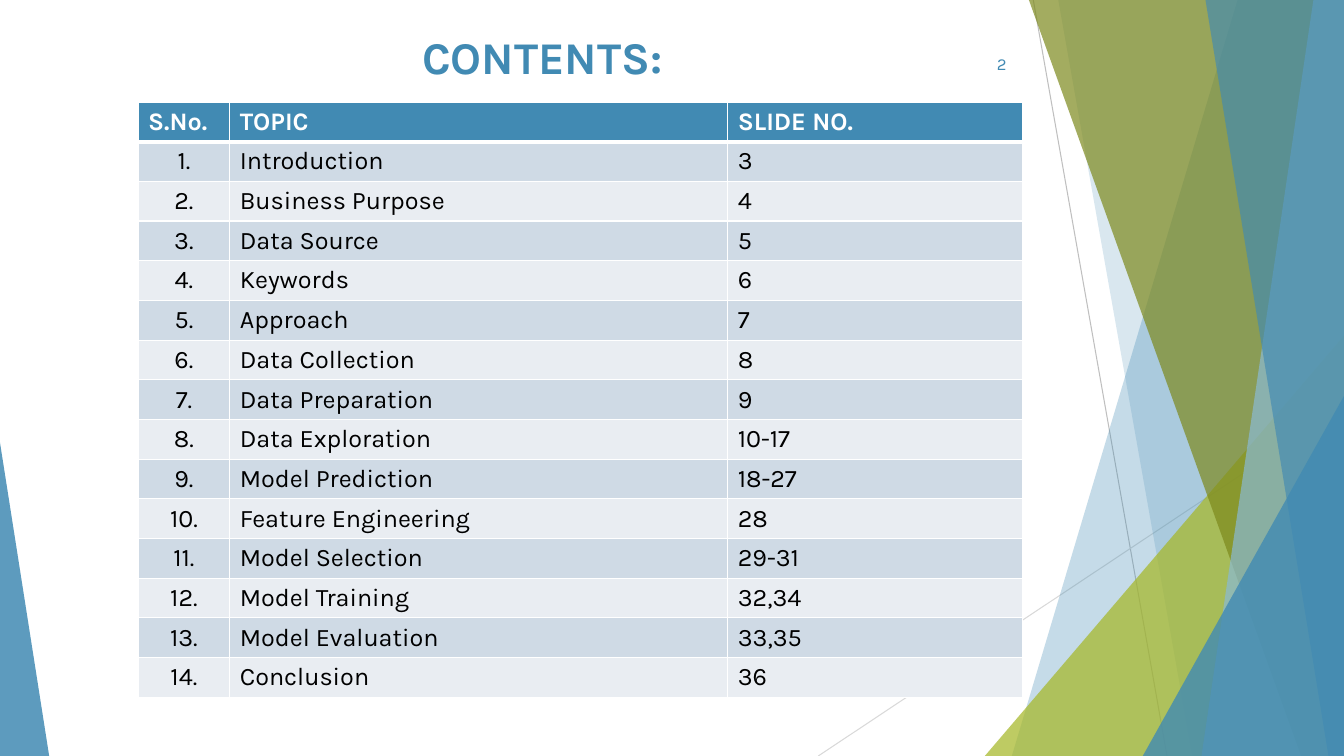
from pptx import Presentation
from pptx import util as u
from pptx.dml.color import RGBColor
from pptx.enum import shapes, text
from pptx.oxml import ns
from lxml import etree

Cm, Pt = u.Cm, u.Pt
FONT = "Karla"
WIDE, HIGH = 33.87, 19.05
COLORS = {
    "blue": "418AB3", "sky": "8ABAD4", "lime": "A6B727", "olive": "7D891D",
    "odd": "CFDAE5", "even": "E9EDF2", "white": "FFFFFF", "black": "000000",
    "gray": "BFBFBF", "pale": "D9D9D9",
}
HEAD = ("S.No.", "TOPIC", "SLIDE NO.")
TOPICS = [
    ("Introduction", "3"), ("Business Purpose", "4"), ("Data Source", "5"),
    ("Keywords", "6"), ("Approach", "7"), ("Data Collection", "8"),
    ("Data Preparation", "9"), ("Data Exploration", "10-17"),
    ("Model Prediction", "18-27"), ("Feature Engineering", "28"),
    ("Model Selection", "29-31"), ("Model Training", "32,34"),
    ("Model Evaluation", "33,35"), ("Conclusion", "36"),
]
WIDTHS = (2.31, 12.55, 7.42)
ROW = 1


def rgb(name):
    return RGBColor.from_string(COLORS[name])


def write(frame, words, size=18, color="black", bold=False, align="LEFT", anchor="MIDDLE"):
    frame.word_wrap = True
    frame.vertical_anchor = text.MSO_ANCHOR[anchor]
    para = frame.paragraphs[0]
    para.text = words
    para.alignment = text.PP_ALIGN[align]
    font = para.runs[0].font
    font.name, font.size, font.bold = FONT, Pt(size), bold
    font.color.rgb = rgb(color)


def tint(shape, color, alpha):
    """Fill a shape with a color at an opacity in percent, without outline."""
    shape.shadow.inherit = False
    shape.fill.solid()
    shape.fill.fore_color.rgb = rgb(color)
    shape.line.fill.background()
    tone = shape._element.spPr.find(".//" + ns.qn("a:srgbClr"))
    etree.SubElement(tone, ns.qn("a:alpha"), val=str(alpha * 1000))


def rule(slide, start, end, color):
    line = slide.shapes.add_connector(
        shapes.MSO_CONNECTOR.STRAIGHT, *[Cm(n) for n in start + end])
    line.line.color.rgb = rgb(color)
    line.line.width = Pt(0.75)
    etree.SubElement(line._element.spPr, ns.qn("a:effectLst"))


def band(slide, top, base, color, alpha):
    """Draw a slanted panel that reaches the right edge of the slide."""
    path = slide.shapes.build_freeform(Cm(top), 0)
    path.add_line_segments(
        [(Cm(WIDE), 0), (Cm(WIDE), Cm(HIGH)), (Cm(base), Cm(HIGH))], close=True)
    tint(path.convert_to_shape(), color, alpha)


def wedge(slide, left, top, wide, tip, color, alpha):
    """Draw a triangle that stands on the bottom edge of the slide."""
    shape = slide.shapes.add_shape(
        shapes.MSO_SHAPE.ISOSCELES_TRIANGLE, Cm(left), Cm(top), Cm(wide), Cm(HIGH - top))
    shape.adjustments[0] = tip
    tint(shape, color, alpha)


def decor(slide):
    rule(slide, (26.04, 0), (29.41, HIGH), "gray")
    rule(slide, (WIDE, 10.24), (20.62, HIGH), "pale")
    band(slide, 31.19, 25.5, "blue", 30)
    band(slide, 26.67, 30.05, "blue", 20)
    wedge(slide, 24.82, 8.46, 9.05, 1, "lime", 72)
    band(slide, 25.93, 32.79, "olive", 70)
    band(slide, 33.1, 30.28, "sky", 70)
    band(slide, 30.38, 33.48, "blue", 65)
    wedge(slide, 28.8, 9.98, 5.07, 1, "blue", 80)
    wedge(slide, 0, 11.15, 1.24, 0, "blue", 85)


def border(cell, **widths):
    props = cell._tc.get_or_add_tcPr()
    for side in "LRTB":
        line = etree.SubElement(
            props, ns.qn("a:ln" + side), w=str(Pt(widths.get(side, 1))))
        fill = etree.SubElement(line, ns.qn("a:solidFill"))
        etree.SubElement(fill, ns.qn("a:srgbClr"), val=COLORS["white"])


def paint(cell, color):
    cell.fill.solid()
    cell.fill.fore_color.rgb = rgb(color)


def contents(slide):
    rows = [HEAD] + [(f"{n}.", *topic) for n, topic in enumerate(TOPICS, 1)]
    table = slide.shapes.add_table(
        len(rows), len(HEAD), Cm(3.48), Cm(2.57),
        Cm(sum(WIDTHS)), Cm(ROW * len(rows))).table
    for col, wide in zip(table.columns, WIDTHS):
        col.width = Cm(wide)
    for r, row in enumerate(rows):
        table.rows[r].height = Cm(ROW)
        for c, words in enumerate(row):
            cell = table.cell(r, c)
            if r == 0:
                border(cell, B=3)
                paint(cell, "blue")
                write(cell.text_frame, words, color="white", bold=True, anchor="TOP")
            else:
                border(cell, T=3 if r == 1 else 1)
                paint(cell, "odd" if r % 2 else "even")
                write(cell.text_frame, words, anchor="TOP",
                      align="LEFT" if c else "CENTER")


def main():
    deck = Presentation()
    deck.slide_width, deck.slide_height = Cm(WIDE), Cm(HIGH)
    slide = deck.slides.add_slide(deck.slide_layouts[5])
    decor(slide)
    title = slide.shapes.title
    title.left, title.top, title.width, title.height = Cm(1.73), Cm(0.61), Cm(23.88), Cm(1.5)
    title.text_frame.auto_size = text.MSO_AUTO_SIZE.NONE
    write(title.text_frame, "CONTENTS:", size=32.4, color="blue", bold=True,
          align="CENTER", anchor="TOP")
    contents(slide)
    number = slide.shapes.add_textbox(Cm(23.72), Cm(1.09), Cm(1.9), Cm(1.02))
    write(number.text_frame, "2", size=12, color="blue", align="RIGHT")
    deck.save("out.pptx")


if __name__ == "__main__":
    main()
